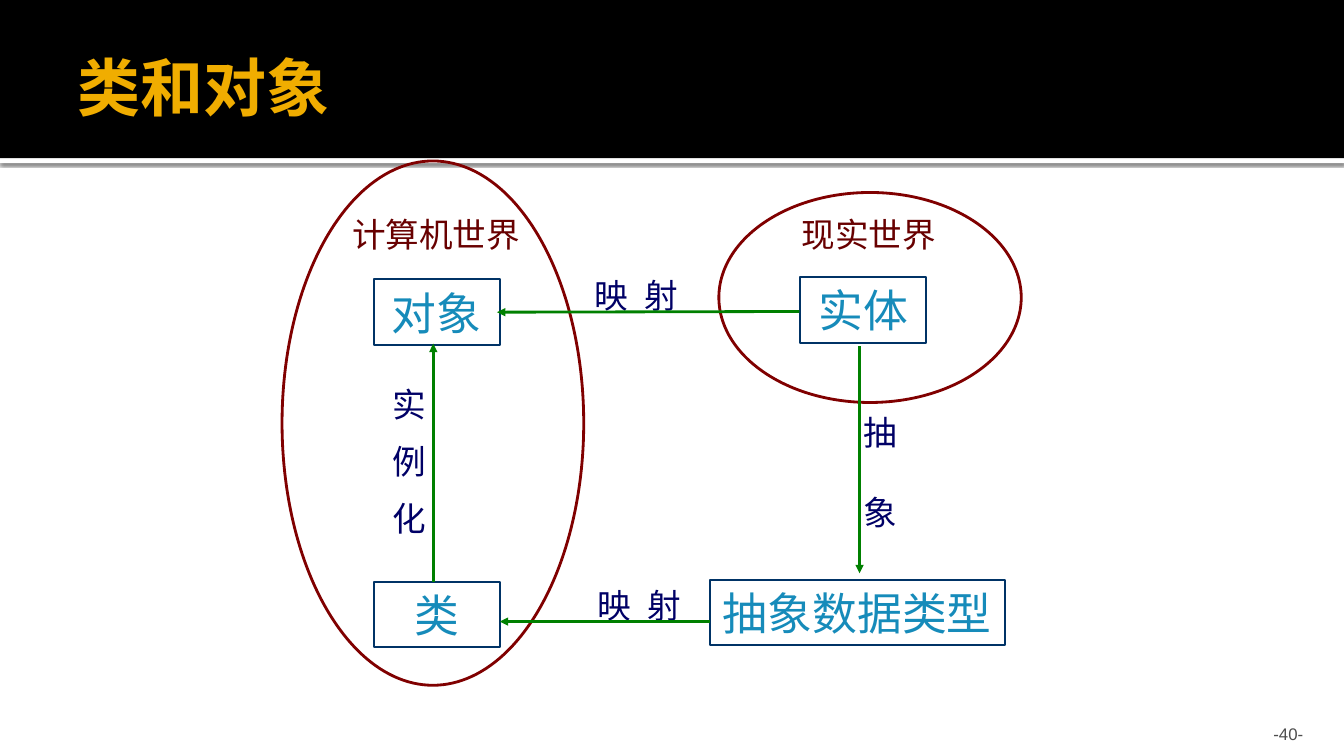
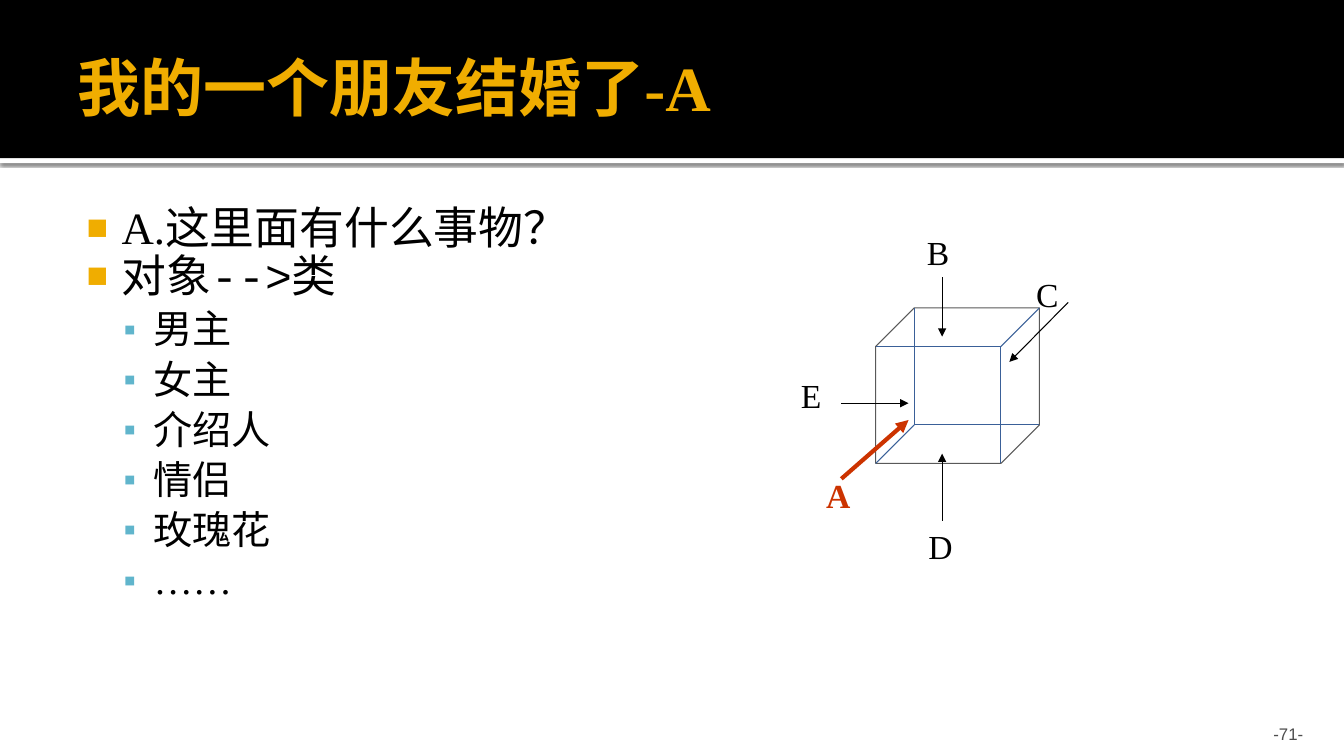
from lxml import etree
from pptx import Presentation
from pptx.dml.color import RGBColor
from pptx.enum.shapes import MSO_CONNECTOR, MSO_SHAPE
from pptx.enum.text import MSO_ANCHOR, PP_ALIGN
from pptx.oxml.ns import qn
from pptx.util import Pt

RECT, OVAL = MSO_SHAPE.RECTANGLE, MSO_SHAPE.OVAL
LINE = MSO_CONNECTOR.STRAIGHT
TOP, MID, LOW = MSO_ANCHOR.TOP, MSO_ANCHOR.MIDDLE, MSO_ANCHOR.BOTTOM
LEFT, MIDST, RIGHT = PP_ALIGN.LEFT, PP_ALIGN.CENTER, PP_ALIGN.RIGHT

BLACK, WHITE, GOLD, GRAY = "000000", "FFFFFF", "F0AD00", "4D4D4D"
NAVY, BLUE, INK = "003366", "168BBA", "000066"
MAROON, WINE, GREEN, RED = "800000", "680000", "008000", "CC3300"
EDGE, INNER = "595959", "3A6098"
SERIF, MONO, SANS = "Times New Roman", "Courier New", "Arial"

INSETS = (7.2, 3.6, 7.2, 3.6)
HEAD = {"name": SERIF, "size": 45, "bold": True, "color": GOLD}
FOOT = {"name": SANS, "size": 12, "color": GRAY}
NODE = {"name": SERIF, "size": 32, "color": BLUE}
WORLD = {"name": SERIF, "size": 24, "color": WINE}
VERB = {"name": SERIF, "size": 24, "color": INK}
MARK = {"name": SERIF, "size": 24, "color": BLACK}
HOT = MARK | {"color": RED, "bold": True}

# Class and object diagram
NODES = [
    ("对象", 267, 199.5, 90),
    ("实体", 571.5, 198, 90),
    ("类", 267, 415.5, 90),
    ("抽象数据类型", 507, 414, 211),
]
OVALS = [(201.5, 115, 215.5, 374.5), (513.5, 137.5, 216, 150)]
WORLDS = [("计算机世界", 230.5, 149, 162), ("现实世界", 551.5, 149, 138)]
# text, left, top, width, height, space between lines, letter spacing
VERBS = [
    ("实\n例\n化", 273, 270.5, 48, 124, 12, 0),
    ("抽\n象", 610, 291, 34, 66, 28, 0),
    ("映 射", 400.5, 193, 108, 36, 0, 3),
    ("映 射", 417, 414, 79, 36, 0, 3),
]
FLOWS = [
    (309.5, 415.5, 309.5, 245.5),
    (571, 222.5, 355, 223),
    (614, 247.5, 614, 409.5),
    (507, 444, 357, 444),
]

# Questions and view cube
POINTS = [
    (0, [("A.这里面有什么事物？", SERIF)]),
    (0, [("对象", SERIF), ("-->", MONO), ("类", SERIF)]),
] + [(1, [(name, SERIF)]) for name in
     ("男主", "女主", "介绍人", "情侣", "玫瑰花", "……")]
LEVELS = [
    {"size": 32, "left": 34.5, "hang": 25, "gap": 0,
     "mark": "■", "tint": GOLD, "scale": 80},
    {"size": 28, "left": 57.5, "hang": 21.5, "gap": 5.6,
     "mark": "▪", "tint": "60B5CC", "scale": 90},
]
CUBE = {"left": 625.5, "top": 247.5, "wide": 89.5, "high": 83.5, "deep": 27.5}
# letter, left, top, arrow
VIEWS = [
    ("D", 656, 372, (673, 372, 673, 324)),
    ("A", 583, 336, (601, 342, 649, 300)),
    ("C", 733, 192, (763, 216, 721, 258.5)),
    ("B", 655, 162, (673, 198, 673, 240.5)),
    ("E", 565, 264, (601, 288, 649, 288)),
]


def rgb(code):
    return RGBColor.from_string(code)


def pts(vals):
    return [Pt(v) for v in vals]


def sub(node, tag, **attrs):
    kid = etree.SubElement(node, qn(tag))
    for key, val in attrs.items():
        kid.set(key, str(val))
    return kid


def style(font, look):
    for key, val in look.items():
        if key == "color":
            font.color.rgb = rgb(val)
        else:
            setattr(font, key, Pt(val) if key == "size" else val)


def frame(shape, anchor=TOP, insets=INSETS):
    """Set wrapping, anchor and insets; return the text frame."""
    body = shape.text_frame
    body.word_wrap = True
    body.vertical_anchor = anchor
    for side, val in zip(("left", "top", "right", "bottom"), insets):
        setattr(body, "margin_" + side, Pt(val))
    return body


def write(shape, text, look, align=LEFT, anchor=TOP, insets=INSETS,
          gap=0, track=0):
    body = frame(shape, anchor, insets)
    for i, line in enumerate(text.split("\n")):
        para = body.paragraphs[0] if i == 0 else body.add_paragraph()
        para.alignment = align
        if i:
            para.space_before = Pt(gap)
        run = para.add_run()
        run.text = line
        style(run.font, look)
        if track:
            run.font._element.set("spc", str(track * 100))


def label(slide, box, text, look, **opts):
    write(slide.shapes.add_textbox(*pts(box)), text, look, **opts)


def paint(shape, fill=None, line=None, width=1):
    shape.shadow.inherit = False
    if fill:
        shape.fill.solid()
        shape.fill.fore_color.rgb = rgb(fill)
    else:
        shape.fill.background()
    if line:
        shape.line.color.rgb = rgb(line)
        shape.line.width = Pt(width)
    else:
        shape.line.fill.background()


def block(slide, kind, box, **look):
    shape = slide.shapes.add_shape(kind, *pts(box))
    paint(shape, **look)
    return shape


def link(slide, ends, color, width, arrow=True):
    line = slide.shapes.add_connector(LINE, *pts(ends))
    line.line.color.rgb = rgb(color)
    line.line.width = Pt(width)
    if arrow:
        sub(line.line._get_or_add_ln(), "a:tailEnd", type="triangle")
    sub(line.element.spPr, "a:effectLst")


def bands(slide, layout):
    """Draw the header bands and move them behind the layout's title."""
    strip = block(slide, RECT, (0, 113, 960, 3.6), fill=WHITE)
    glow = sub(strip.element.spPr.find(qn("a:effectLst")), "a:outerShdw",
               blurRad=Pt(2.5), dist=Pt(0.8), dir=5400000,
               algn="tl", rotWithShape=0)
    sub(sub(glow, "a:srgbClr", val=BLACK), "a:alpha", val=60000)
    bar = block(slide, RECT, (0, 0, 960, 113), fill=BLACK)
    for shape in (bar, strip):
        layout.shapes.element.insert(2, shape.element)


def start(deck, layout, title, number):
    slide = deck.slides.add_slide(layout)
    head = slide.shapes.title
    head.left, head.top, head.width, head.height = pts((48, 12, 864, 99))
    write(head, title, HEAD, anchor=MID, insets=(7.2, 3.6, 3.6, 3.6))
    label(slide, (861, 510, 77, 21.5), number, FOOT, align=RIGHT,
          anchor=LOW, insets=(7.2, 3.6, 7.2, 0))
    return slide


def diagram(slide):
    for text, x, y, wide in NODES:
        node = block(slide, RECT, (x, y, wide, 47), line=NAVY, width=1.5)
        write(node, text, NODE, align=MIDST, anchor=MID, insets=(0, 0, 0, 0))
    for box in OVALS:
        block(slide, OVAL, box, line=MAROON, width=2)
    for text, x, y, wide in WORLDS:
        label(slide, (x, y, wide, 36), text, WORLD, align=MIDST)
    for text, *box, gap, track in VERBS:
        label(slide, box, text, VERB, gap=gap, track=track,
              align=MIDST if track else LEFT)
    for ends in FLOWS:
        link(slide, ends, GREEN, 2)


def outline(slide):
    """Write the bulleted list."""
    box = slide.shapes.add_textbox(*pts((48, 139.5, 480, 364.5)))
    body = frame(box, insets=(4.3, 7.2, 7.2, 3.6))
    for i, (depth, parts) in enumerate(POINTS):
        rule = LEVELS[depth]
        para = body.paragraphs[0] if i == 0 else body.add_paragraph()
        para.level = depth
        props = para._p.get_or_add_pPr()
        props.set("marL", str(Pt(rule["left"])))
        props.set("indent", str(-Pt(rule["hang"])))
        sub(sub(props, "a:buClr"), "a:srgbClr", val=rule["tint"])
        sub(props, "a:buSzPct", val=rule["scale"] * 1000)
        sub(props, "a:buFont", typeface=SANS)
        sub(props, "a:buChar", char=rule["mark"])
        para.line_spacing = 0.9
        if rule["gap"]:
            para.space_before = Pt(rule["gap"])
        for text, face in parts:
            run = para.add_run()
            run.text = text
            style(run.font, {"name": face, "size": rule["size"],
                             "color": BLACK})


def cube(slide):
    """Draw a wire cube: its outline, then three edges at each inner corner."""
    x, y, wide, high, deep = CUBE.values()
    right, base = x + wide, y + high
    rim = [(x, y), (x + deep, y - deep), (right + deep, y - deep),
           (right + deep, base - deep), (right, base), (x, base)]
    pen = slide.shapes.build_freeform(*pts(rim[0]), scale=1.0)
    pen.add_line_segments([pts(spot) for spot in rim[1:]], close=True)
    paint(pen.convert_to_shape(), line=EDGE, width=0.75)
    for hub, tips in (((right, y), rim[0::2]),
                      ((x + deep, base - deep), rim[1::2])):
        for tip in tips:
            link(slide, hub + tip, INNER, 0.75, arrow=False)


def views(slide):
    for text, x, y, ends in VIEWS:
        hot = text == "A"
        label(slide, (x, y, 42, 36), text, HOT if hot else MARK)
        link(slide, ends, RED if hot else BLACK, 3 if hot else 0.75)


def main():
    deck = Presentation()
    deck.slide_width, deck.slide_height = pts((960, 540))
    layout = deck.slide_layouts[5]
    first = start(deck, layout, "类和对象", "-40-")
    bands(first, layout)
    diagram(first)
    second = start(deck, layout, "我的一个朋友结婚了-A", "-71-")
    outline(second)
    cube(second)
    views(second)
    deck.save("out.pptx")


if __name__ == "__main__":
    main()
